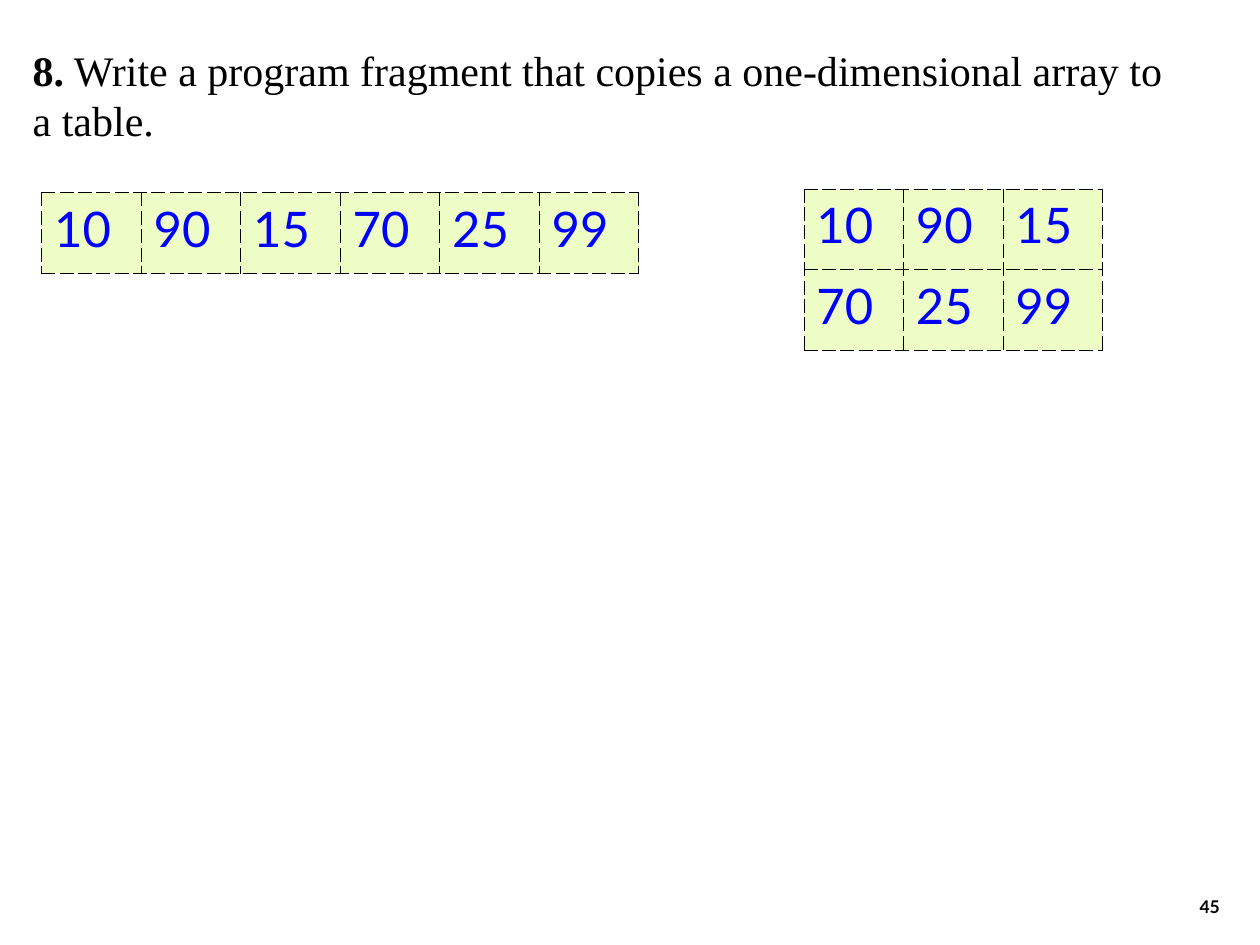
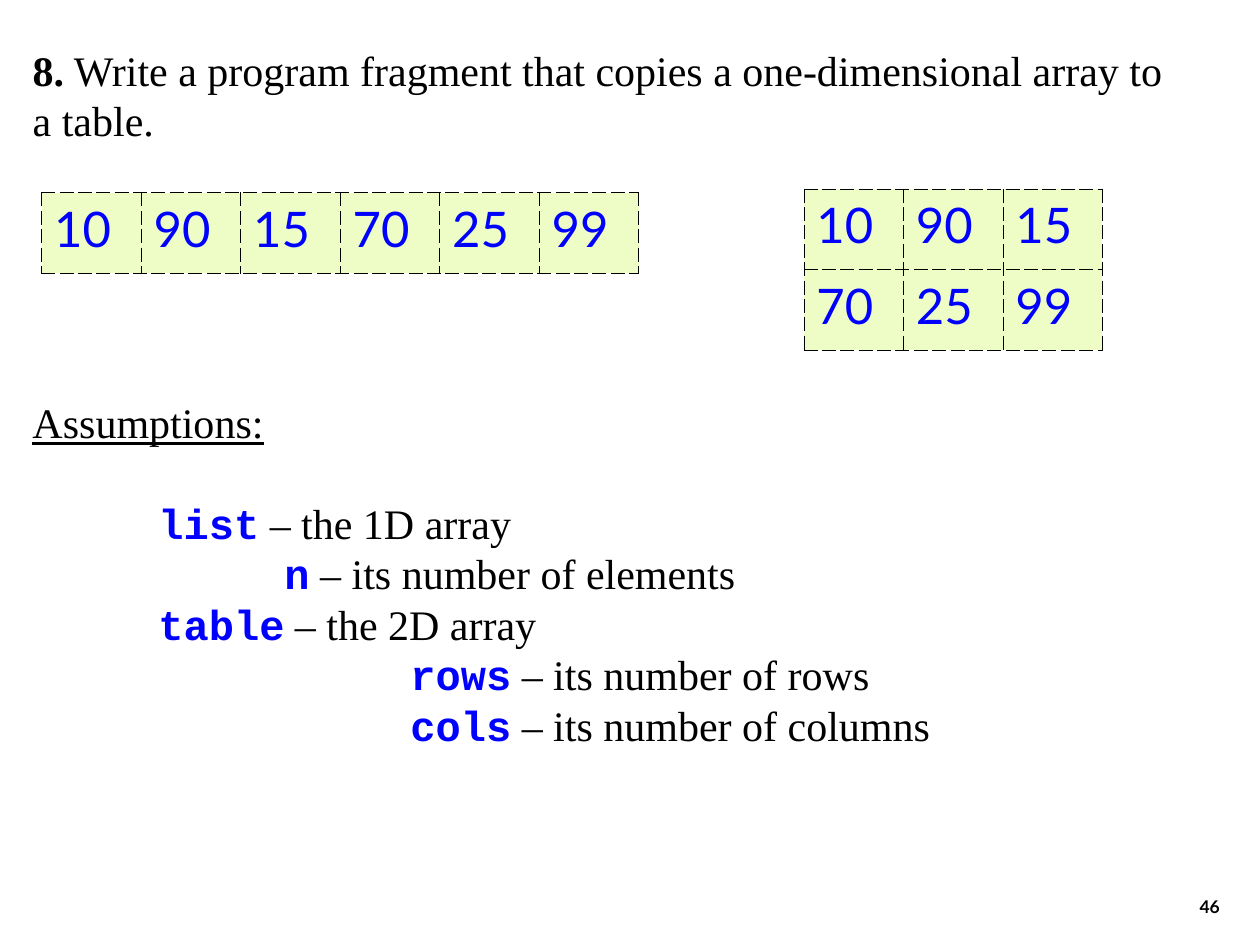
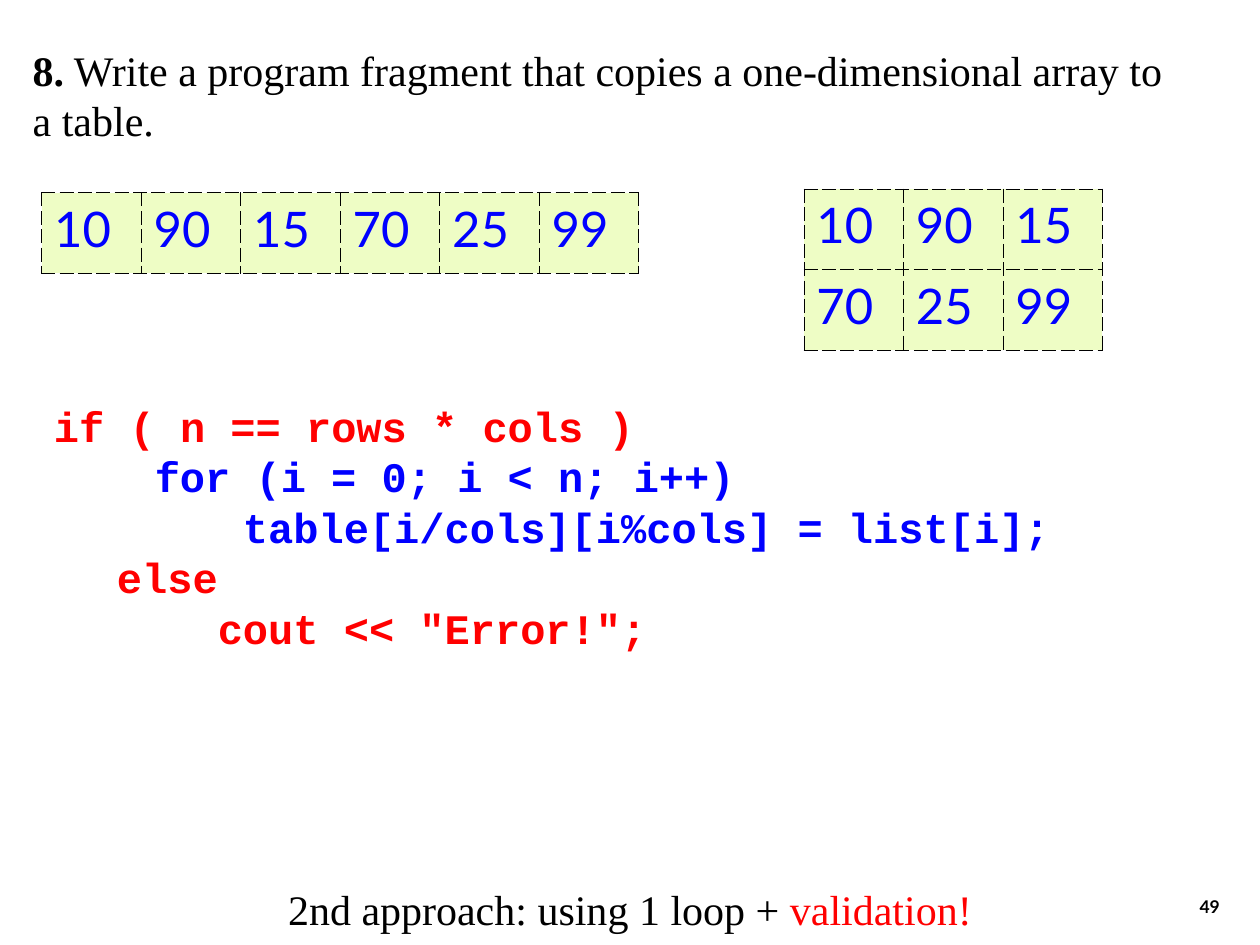
from pptx import Presentation
from pptx.dml.color import RGBColor
from pptx.enum.text import MSO_ANCHOR as Anchor, MSO_AUTO_SIZE as Fit, PP_ALIGN as Align
from pptx.oxml import parse_xml
from pptx.oxml.ns import nsdecls
from pptx.util import Inches, Pt

BLACK, BLUE, RED, LIME = "000000", "0000FF", "FF0000", "EEFDC5"
SERIF, MONO, SANS = "Times New Roman", "Courier New", "Lato"
SIZE, LEAD = 24, 28.8
CELL_W, CELL_H = 0.79, 0.64

# A style is (font, colour, bold, underline).
PLAIN = (SERIF, BLACK, False, False)
BOLD = (SERIF, BLACK, True, False)
UNDER = (SERIF, BLACK, False, True)
ALERT = (SERIF, RED, False, False)
CODE = (MONO, BLUE, True, False)
CHECK = (MONO, RED, True, False)
NUMBER = (SANS, BLACK, True, False)

# A line is (indent in inches, [(text, style), ...]).
TASK = [
    (0, [("8.", BOLD),
         (" Write a program fragment that copies a one-dimensional array to", PLAIN)]),
    (0, [("a table.", PLAIN)]),
]
VALUES = [10, 90, 15, 70, 25, 99]
COLS = 3
NAMES = [
    (1, "list", "the 1D array"),
    (2, "n", "its number of elements"),
    (1, "table", "the 2D array"),
    (3, "rows", "its number of rows"),
    (3, "cols", "its number of columns"),
]
LOOP = [
    (0, [("if ( n == rows * cols )", CHECK)]),
    (0.8, [("for (i = 0; i < n; i++)", CODE)]),
    (1.5, [("table[i/cols][i%cols] = list[i];", CODE)]),
    (0.5, [("else", CHECK)]),
    (1.3, [('cout << "Error!";', CHECK)]),
]
APPROACH = [(0, [("2nd approach: using 1 loop +", PLAIN), (" validation!", ALERT)])]


def color(code):
    return RGBColor.from_string(code)


def style_run(run, style, size):
    name, tint, bold, under = style
    font = run.font
    font.name, font.size, font.bold, font.underline = name, Pt(size), bold, under
    font.color.rgb = color(tint)


def place(shape, left, top, width, height):
    shape.left, shape.top = Inches(left), Inches(top)
    shape.width, shape.height = Inches(width), Inches(height)


def write(shape, lines, align=Align.LEFT, anchor=Anchor.TOP, size=SIZE, lead=LEAD):
    frame = shape.text_frame
    frame.word_wrap, frame.auto_size = True, Fit.NONE
    frame.vertical_anchor = anchor
    for i, (indent, parts) in enumerate(lines):
        para = frame.add_paragraph() if i else frame.paragraphs[0]
        para.alignment = align
        para.line_spacing = Pt(lead)
        if indent:
            para._p.get_or_add_pPr().set("marL", str(Inches(indent)))
        for text, style in parts:
            run = para.add_run()
            run.text = text
            style_run(run, style, size)
    return frame


def add_text(slide, box, lines, **look):
    shape = slide.shapes.add_textbox(0, 0, 0, 0)
    place(shape, *box)
    return write(shape, lines, **look)


def dash_edges(cell):
    props = cell._tc.get_or_add_tcPr()
    for i, side in enumerate(("lnL", "lnR", "lnT", "lnB")):
        props.insert(i, parse_xml(
            f'<a:{side} {nsdecls("a")} w="{Pt(0.45)}"><a:solidFill>'
            f'<a:srgbClr val="{BLACK}"/></a:solidFill>'
            f'<a:prstDash val="dash"/></a:{side}>'))


def add_grid(slide, left, top, rows):
    count, span = len(rows), len(rows[0])
    table = slide.shapes.add_table(
        count, span, Inches(left), Inches(top),
        Inches(span * CELL_W), Inches(count * CELL_H)).table
    table.first_row = table.horz_banding = False
    for col in table.columns:
        col.width = Inches(CELL_W)
    for r, row in enumerate(rows):
        for c, value in enumerate(row):
            cell = table.cell(r, c)
            cell.text_frame.text = str(value)
            style_run(cell.text_frame.paragraphs[0].runs[0],
                      (SANS, BLUE, False, False), 28)
            cell.fill.solid()
            cell.fill.fore_color.rgb = color(LIME)
            dash_edges(cell)


def add_page(deck, number):
    """Add a slide with the task, both arrays and its number."""
    slide = deck.slides.add_slide(deck.slide_layouts[5])
    title = slide.shapes.title
    place(title, 0.16, 0.3, 9.27, 0.9)
    write(title, TASK)
    add_grid(slide, 0.33, 1.53, [VALUES])
    add_grid(slide, 6.38, 1.5,
             [VALUES[i:i + COLS] for i in range(0, len(VALUES), COLS)])
    add_text(slide, (7.7, 6.83, 2.08, 0.5), [(0, [(str(number), NUMBER)])],
             align=Align.RIGHT, anchor=Anchor.BOTTOM, size=10, lead=12)
    return slide


def main():
    deck = Presentation()
    deck.slide_width, deck.slide_height = Inches(10), Inches(7.5)

    add_page(deck, 45)

    slide = add_page(deck, 46)
    lines = [(0, [("Assumptions:", UNDER)])]
    lines += [(indent, [(name, CODE), (f" – {what}", PLAIN)])
              for indent, name, what in NAMES]
    frame = add_text(slide, (0.16, 3.1, 9.27, 2.9), lines)
    frame.paragraphs[1].space_before = Pt(LEAD)

    slide = add_page(deck, 49)
    add_text(slide, (0.33, 3.13, 8.42, 2.1), LOOP)
    add_text(slide, (0, 6.92, 10, 0.58), APPROACH,
             align=Align.CENTER, anchor=Anchor.MIDDLE)

    deck.save("out.pptx")


if __name__ == "__main__":
    main()
